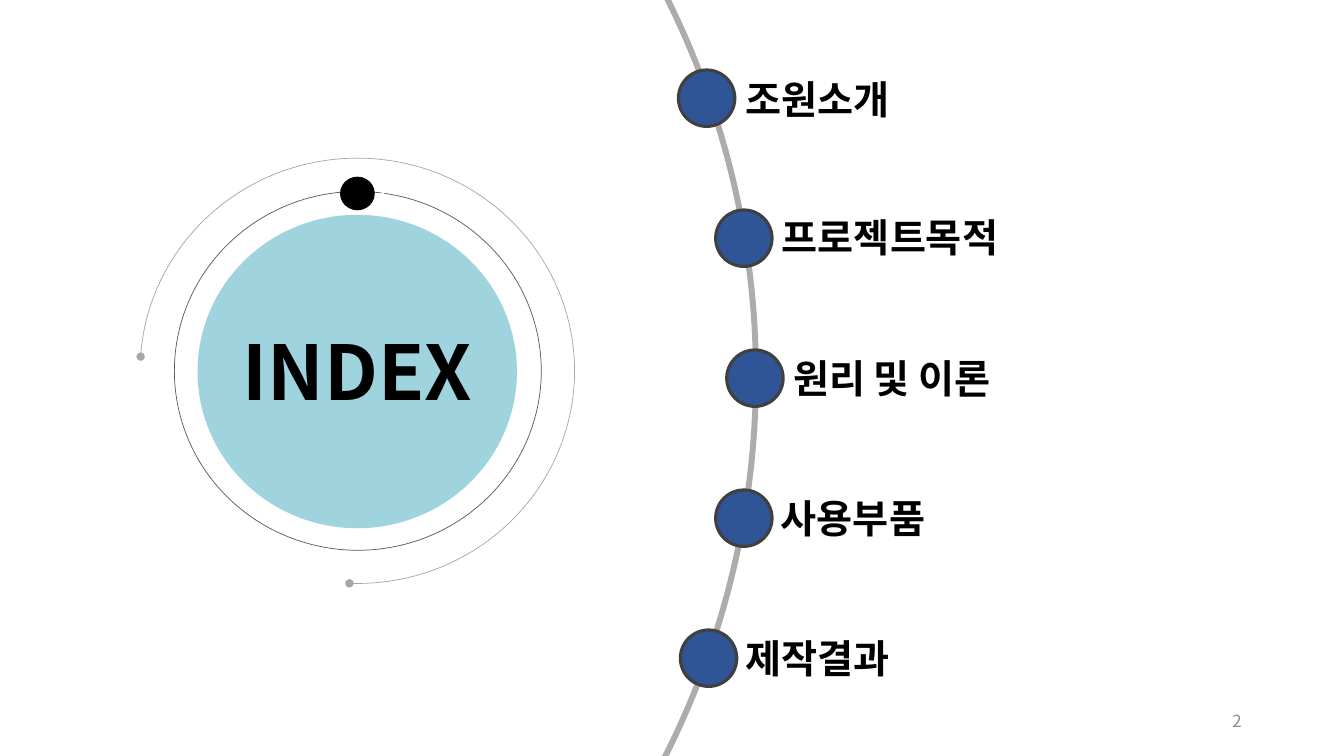
from pptx import Presentation
from pptx.dml.color import RGBColor
from pptx.enum.shapes import MSO_SHAPE as Kind
from pptx.enum.text import MSO_ANCHOR as Anchor, MSO_AUTO_SIZE as Fit, PP_ALIGN as Align
from pptx.oxml.ns import qn
from pptx.util import Pt
from lxml.etree import SubElement as Sub

BLACK = RGBColor(0x00, 0x00, 0x00)
AQUA = RGBColor(0x9F, 0xD3, 0xDD)
NAVY = RGBColor(0x2F, 0x55, 0x97)
DARK = RGBColor(0x40, 0x40, 0x40)
SLATE = RGBColor(0x59, 0x59, 0x59)
GRAY = RGBColor(0xA6, 0xA6, 0xA6)
WARM = RGBColor(0xAF, 0xAB, 0xAB)
PALE = RGBColor(0x8C, 0x8C, 0x8C)

# label, left of dot, left of text, top of text
TOPICS = [
    ("조원소개", 484.6, 525.6, 50.4),
    ("프로젝트목적", 511.2, 551.5, 149),
    ("원리 및 이론", 519.1, 559.4, 249.8),
    ("사용부품", 511.2, 550.8, 349.2),
    ("제작결과", 486, 525.6, 449.3),
]
DOT, FIRST, STEP = 40.3, 50, 100
SWEEP = (183.75, 92.12)


class Deck:
    def __init__(self, wide, high, face):
        self.show = Presentation()
        self.show.slide_width, self.show.slide_height = Pt(wide), Pt(high)
        self.slide = self.show.slides.add_slide(self.show.slide_layouts[6])
        self.face = face

    def shape(self, kind, box, fill=None, line=None, width=1):
        item = self.slide.shapes.add_shape(kind, *map(Pt, box))
        item.shadow.inherit = False
        for part, color in ((item.fill, fill), (item.line.fill, line)):
            if color is None:
                part.background()
            else:
                part.solid()
                part.fore_color.rgb = color
        if line is not None:
            item.line.width = Pt(width)
        return item

    def disc(self, box, fill, line=None, width=1):
        return self.shape(Kind.OVAL, box, fill, line, width)

    def arc(self, box, angles, line, width, ends=False):
        """Draw an arc clockwise between two angles in degrees."""
        item = self.shape(Kind.ARC, box, None, line, width)
        for i, angle in enumerate(angles):
            item.adjustments[i] = angle * 0.6
        if ends:
            for tag in ("a:headEnd", "a:tailEnd"):
                Sub(item.line._get_or_add_ln(), qn(tag), type="oval")

    def text(self, words, box, size, color=BLACK, bold=True,
             align=Align.LEFT, anchor=Anchor.TOP, fit=Fit.SHAPE_TO_FIT_TEXT):
        frame = self.slide.shapes.add_textbox(*map(Pt, box)).text_frame
        frame.word_wrap = True
        frame.auto_size = fit
        frame.vertical_anchor = anchor
        para = frame.paragraphs[0]
        para.alignment = align
        run = para.add_run()
        run.text = words
        looks = {"name": self.face, "size": Pt(size), "bold": bold}
        for key, value in looks.items():
            setattr(run.font, key, value)
        run.font.color.rgb = color
        Sub(run._r.get_or_add_rPr(), qn("a:ea"), typeface=self.face)


def main():
    deck = Deck(960, 540, "Noto Sans CJK KR")
    deck.disc((141.1, 153.4, 228.2, 223.9), AQUA)
    deck.arc((124.6, 136.8, 262.1, 256.3), (278.53, 277.59), SLATE, 0.5)
    deck.arc((100.1, 113, 310.3, 303.8), SWEEP, GRAY, 0.5, ends=True)
    deck.arc((-666, -334.8, 1206, 1206), SWEEP, WARM, 4.25, ends=True)
    deck.text("INDEX", (130.3, 228.2, 249.8, 72.7), 54, align=Align.CENTER)
    deck.disc((243.4, 126.7, 23.8, 23), BLACK, BLACK)

    for i, (label, left, start, top) in enumerate(TOPICS):
        deck.text(label, (start, top, 268.6, 41), 28)
        deck.disc((left, FIRST + STEP * i, DOT, DOT), NAVY, DARK, 2.25)

    deck.text("2", (678, 500.5, 216, 28.8), 12, PALE, bold=False,
              align=Align.RIGHT, anchor=Anchor.MIDDLE, fit=Fit.NONE)
    deck.show.save("out.pptx")


if __name__ == "__main__":
    main()
